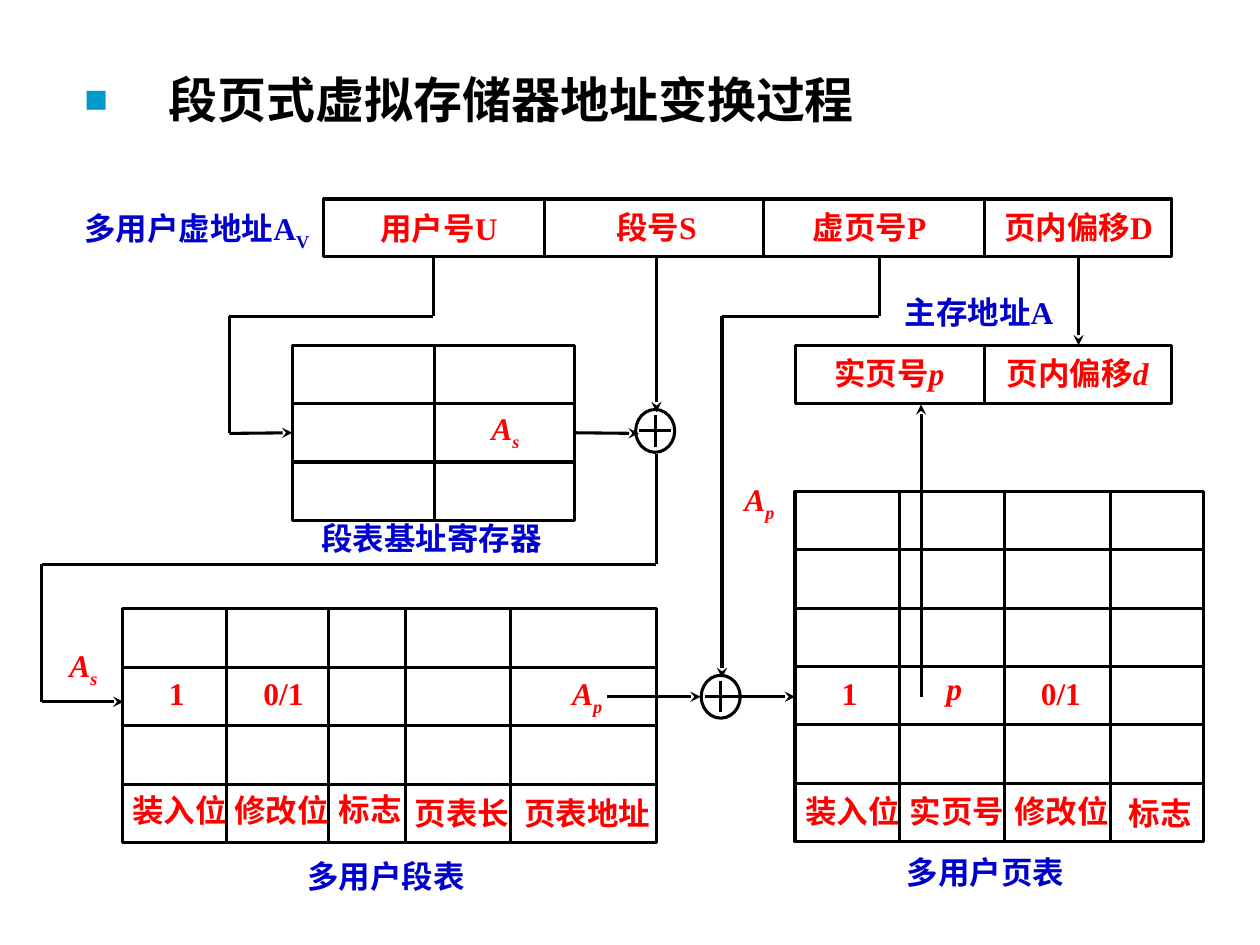
from lxml import etree
from pptx import Presentation
from pptx.dml.color import RGBColor
from pptx.enum.shapes import MSO_CONNECTOR, MSO_SHAPE
from pptx.enum.text import MSO_ANCHOR, MSO_AUTO_SIZE, PP_ALIGN
from pptx.oxml.ns import qn
from pptx.util import Inches, Pt

STRAIGHT = MSO_CONNECTOR.STRAIGHT
RECTANGLE, OVAL = MSO_SHAPE.RECTANGLE, MSO_SHAPE.OVAL
JUSTIFY, LEFT = PP_ALIGN.JUSTIFY, PP_ALIGN.LEFT
TOP = MSO_ANCHOR.TOP
NO_AUTOFIT = MSO_AUTO_SIZE.NONE
TOP_SIDE, LEFT_SIDE, BOTTOM_SIDE, RIGHT_SIDE = range(4)

BLACK, WHITE, RED, BLUE, BULLET = "000000", "FFFFFF", "FF0000", "0000CC", "0099CC"
LINE_WIDTH = 1.75
TITLE = "段页式虚拟存储器地址变换过程"

# name: left, top, width, height, row count, x of the column rules
GRIDS = {
    "virtual address": (2.57, 1.58, 6.73, 0.46, 1, [4.32, 6.06, 7.81]),
    "main address": (6.31, 2.74, 2.99, 0.46, 1, [7.81]),
    "base registers": (2.32, 2.74, 2.24, 1.39, 3, [3.45]),
    "segment table": (0.97, 4.83, 4.24, 1.86, 4, [1.8, 2.61, 3.22, 4.05]),
    "page table": (6.31, 3.9, 3.24, 2.78, 6, [7.14, 7.97, 8.81]),
}

ADDERS = [(5.2, 3.42), (5.72, 5.53)]
ADDER_WIDTH, ADDER_HEIGHT, PLUS = 0.31, 0.34, 0.25

# corner points, each path ending in an arrowhead
USER_PATH = [(3.44, 2.04), (3.44, 2.51), (1.82, 2.51), (1.82, 3.44), (2.32, 3.44)]
REGISTER_PATH = [(4.56, 3.44), (5.07, 3.44)]
OTHER_PATHS = [
    [(5.21, 2.04), (5.21, 3.27)],
    [(5.21, 3.6), (5.21, 4.48), (0.33, 4.48), (0.33, 5.57), (0.98, 5.57)],
    [(6.98, 2.04), (6.98, 2.51), (5.73, 2.51), (5.73, 5.38)],
    [(4.82, 5.53), (5.56, 5.53)],
    [(5.81, 5.53), (6.31, 5.53)],
    [(7.31, 5.53), (7.31, 3.21)],
    [(8.56, 2.04), (8.56, 2.74)],
]

# left, top, width, left inset, spans of (text, style); i = italic, s = subscript
RED_LABELS = [
    (0.83, 6.08, 1.25, 0.22, [("装入位", "")]),
    (1.64, 6.08, 1.25, 0.22, [("修改位", "")]),
    (2.47, 6.07, 1, 0.22, [("标志", "")]),
    (3.07, 6.1, 1.25, 0.22, [("页表长", "")]),
    (3.94, 6.1, 1.5, 0.22, [("页表地址", "")]),
    (6.17, 6.09, 1.25, 0.22, [("装入位", "")]),
    (7, 6.09, 1.25, 0.22, [("实页号", "")]),
    (7.83, 6.09, 1.25, 0.22, [("修改位", "")]),
    (8.74, 6.1, 1, 0.22, [("标志", "")]),
    (6.46, 5.15, 0.75, 0.22, [("1", "")]),
    (7.29, 5.11, 0.75, 0.22, [("p", "i")]),
    (8.04, 5.15, 0.75, 0.22, [("0/1", "")]),
    (1.12, 5.15, 0.75, 0.22, [("1", "")]),
    (1.87, 5.15, 0.75, 0.22, [("0/1", "")]),
    (4.32, 5.13, 0.75, 0.22, [("A", "i"), ("p", "is")]),
    (0.33, 4.91, 0.75, 0.22, [("A", "i"), ("s", "is")]),
    (3.74, 3.03, 0.75, 0.16, [("A", "i"), ("s", "is")]),
    (2.8, 1.46, 1.5, 0.22, [("用户号U", "")]),
    (4.67, 1.45, 1.25, 0.22, [("段号S", "")]),
    (6.29, 1.45, 1.5, 0.16, [("虚页号P", "")]),
    (7.75, 1.45, 1.75, 0.22, [("页内偏移D", "")]),
    (6.4, 2.61, 1.5, 0.22, [("实页号", ""), ("p", "i")]),
    (7.77, 2.61, 1.75, 0.22, [("页内偏移", ""), ("d", "i")]),
]
BLUE_LABELS = [
    (2.39, 3.92, 2.24, 0.16, [("段表基址寄存器", "")]),
    (0.39, 1.44, 2.24, 0.28, [("多用户虚地址A", ""), ("V", "s")]),
    (6.96, 2.13, 1.77, 0.22, [("主存地址A", "")]),
    (2.34, 6.6, 1.75, 0.1, [("多用户段表", "")]),
    (7.1, 6.57, 1.74, 0.1, [("多用户页表", "")]),
]
SINGLE_SPACED_LABEL = (5.81, 3.76, 0.75, 0.1, [("A", "i"), ("p", "is")])


def color(value):
    return RGBColor.from_string(value)


def set_font(font, name, size, value):
    font.name, font.size, font.bold = name, Pt(size), True
    font.color.rgb = color(value)


def add_outline(page, kind, left, top, width, height):
    shape = page.shapes.add_shape(kind, *map(Inches, (left, top, width, height)))
    shape.shadow.inherit = False
    shape.fill.solid()
    shape.fill.fore_color.rgb = color(WHITE)
    shape.line.color.rgb = color(BLACK)
    shape.line.width = Pt(LINE_WIDTH)
    return shape


def add_line(page, start, end, arrow=False):
    line = page.shapes.add_connector(STRAIGHT, *map(Inches, (*start, *end)))
    line.line.color.rgb = color(BLACK)
    line.line.width = Pt(LINE_WIDTH)
    if arrow:
        etree.SubElement(line.line._get_or_add_ln(), qn("a:tailEnd"), type="stealth")
    etree.SubElement(line._element.spPr, qn("a:effectLst"))
    return line


def add_path(page, points):
    """Draw the segments of a path and return the last one, which has the arrowhead."""
    for start, end in zip(points[:-2], points[1:-1]):
        add_line(page, start, end)
    return add_line(page, *points[-2:], arrow=True)


def add_grid(page, left, top, width, height, rows, column_rules):
    frame = add_outline(page, RECTANGLE, left, top, width, height)
    for row in range(1, rows):
        y = top + height * row / rows
        add_line(page, (left, y), (left + width, y))
    for x in column_rules:
        add_line(page, (x, top), (x, top + height))
    return frame


def add_adder(page, x, y):
    add_outline(page, OVAL, x - ADDER_WIDTH / 2, y - ADDER_HEIGHT / 2, ADDER_WIDTH, ADDER_HEIGHT)
    add_line(page, (x - PLUS / 2, y), (x + PLUS / 2, y))
    add_line(page, (x, y - PLUS / 2), (x, y + PLUS / 2))


def add_label(page, label, value, spacing=1.5):
    left, top, width, inset, spans = label
    box = page.shapes.add_textbox(*map(Inches, (left, top, width, 0.7)))
    frame = box.text_frame
    frame.word_wrap = True
    frame.margin_left, frame.margin_right = Inches(inset), 0
    para = frame.paragraphs[0]
    para.alignment, para.line_spacing = JUSTIFY, spacing
    set_font(para.font, "Times New Roman", 18, value)
    for text, style in spans:
        span = para.add_run()
        span.text = text
        if "i" in style:
            span.font.italic = True
        if "s" in style:
            span.font._element.set("baseline", "-25000")


def add_heading(page):
    page.shapes.title._element.getparent().remove(page.shapes.title._element)
    box = page.placeholders[1]
    box.left, box.top, box.width, box.height = map(Inches, (0.57, 0.5, 8.71, 0.89))
    frame = box.text_frame
    frame.text = TITLE
    frame.vertical_anchor, frame.auto_size = TOP, NO_AUTOFIT
    para = frame.paragraphs[0]
    para.alignment, para.space_before = LEFT, Pt(0)
    properties = para._p.get_or_add_pPr()
    properties.set("marL", str(Inches(0.67)))
    properties.set("indent", str(-Inches(0.67)))
    bullet_color = etree.SubElement(properties, qn("a:buClr"))
    etree.SubElement(bullet_color, qn("a:srgbClr"), val=BULLET)
    etree.SubElement(properties, qn("a:buSzPct"), val="80000")
    etree.SubElement(properties, qn("a:buFont"), typeface="Arial")
    etree.SubElement(properties, qn("a:buChar"), char="■")
    set_font(para.font, "Arial", 28, BLACK)


def main():
    deck = Presentation()
    deck.slide_width, deck.slide_height = Inches(10), Inches(7.5)
    page = deck.slides.add_slide(deck.slide_layouts[1])
    add_heading(page)
    frames = {name: add_grid(page, *grid) for name, grid in GRIDS.items()}
    for center in ADDERS:
        add_adder(page, *center)
    registers = frames["base registers"]
    add_path(page, USER_PATH).end_connect(registers, LEFT_SIDE)
    add_path(page, REGISTER_PATH).begin_connect(registers, RIGHT_SIDE)
    for points in OTHER_PATHS:
        add_path(page, points)
    for labels, value in ((RED_LABELS, RED), (BLUE_LABELS, BLUE)):
        for label in labels:
            add_label(page, label, value)
    add_label(page, SINGLE_SPACED_LABEL, RED, spacing=1)
    deck.save("out.pptx")


if __name__ == "__main__":
    main()
